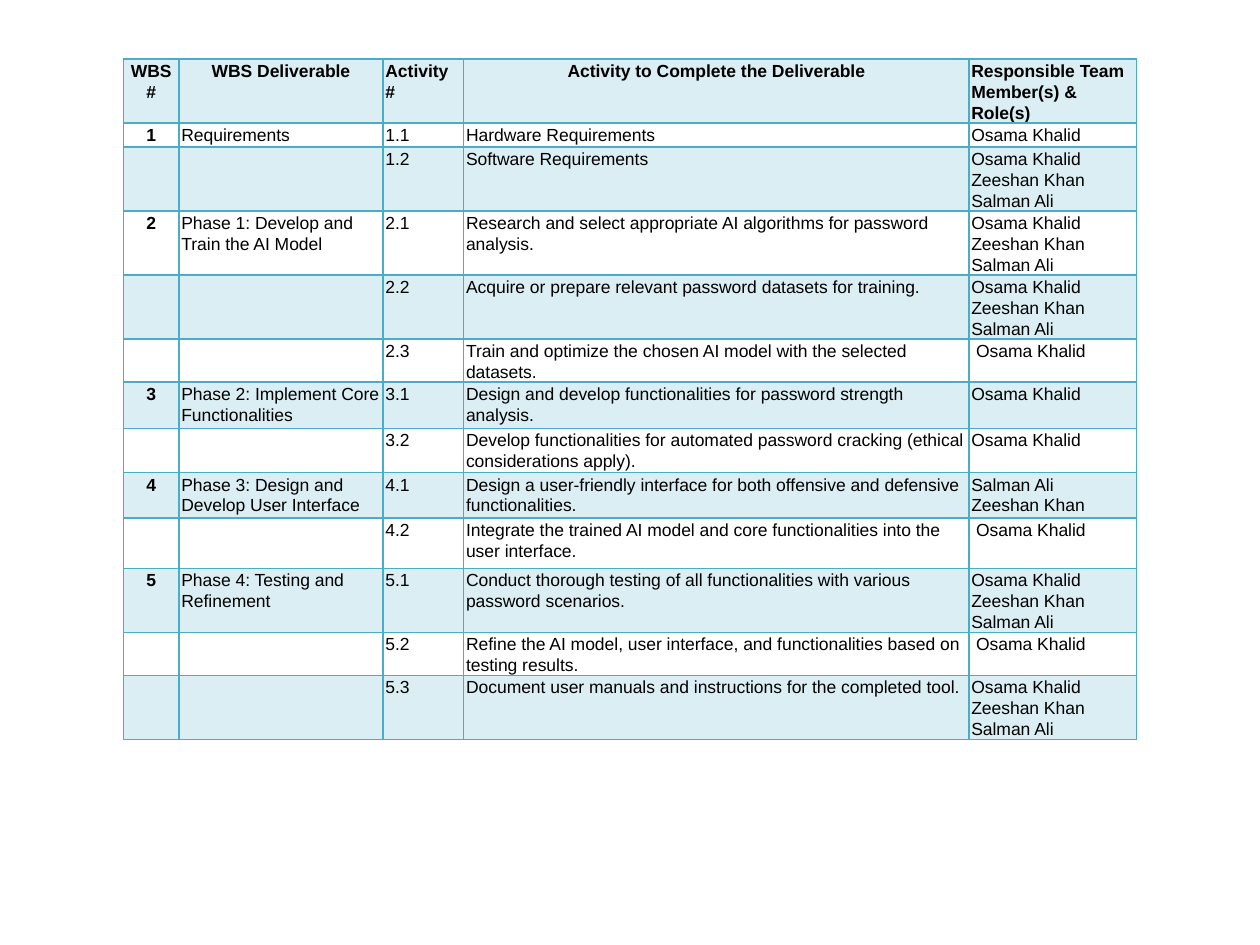
import pptx
import pptx.dml.color
import pptx.enum.text
import pptx.oxml
import pptx.oxml.ns
import pptx.util
from pptx.util import Inches

THEME = {"font": "Arial", "size": 10, "text": "000000", "accent": "4BACC6",
         "tint": 20, "border": 1, "line_spacing": 1.07}

# Content: number, deliverable, activity number, activity, team
HEADER = ("WBS #", "WBS Deliverable", "Activity #",
          "Activity to Complete the Deliverable", "Responsible Team Member(s) & Role(s)")
TEAM = "Osama Khalid\nZeeshan Khan\nSalman Ali"
ACTIVITIES = [
    ("1", "Requirements", "1.1", "Hardware Requirements", "Osama Khalid"),
    ("", "", "1.2", "Software Requirements", TEAM),
    ("2", "Phase 1: Develop and Train the AI Model", "2.1",
     "Research and select appropriate AI algorithms for password analysis.", TEAM),
    ("", "", "2.2", "Acquire or prepare relevant password datasets for training.", TEAM),
    ("", "", "2.3", "Train and optimize the chosen AI model with the selected datasets.",
     " Osama Khalid"),
    ("3", "Phase 2: Implement Core Functionalities", "3.1",
     "Design and develop functionalities for password strength analysis.", "Osama Khalid"),
    ("", "", "3.2",
     "Develop functionalities for automated password cracking (ethical considerations apply).",
     "Osama Khalid"),
    ("4", "Phase 3: Design and Develop User Interface", "4.1",
     "Design a user-friendly interface for both offensive and defensive functionalities.",
     "Salman Ali\nZeeshan Khan"),
    ("", "", "4.2",
     "Integrate the trained AI model and core functionalities into the user interface.",
     " Osama Khalid"),
    ("5", "Phase 4: Testing and Refinement", "5.1",
     "Conduct thorough testing of all functionalities with various password scenarios.", TEAM),
    ("", "", "5.2",
     "Refine the AI model, user interface, and functionalities based on testing results.",
     " Osama Khalid"),
    ("", "", "5.3", "Document user manuals and instructions for the completed tool.", TEAM),
]
ROWS = [HEADER] + ACTIVITIES
COLUMN_WIDTHS = [0.44, 1.62, 0.64, 4.01, 1.33]
ROW_HEIGHTS = [0.48, 0.19, 0.48, 0.48, 0.48, 0.29, 0.37, 0.35, 0.36, 0.4, 0.48, 0.34, 0.48]
LEFT, TOP = 0.98, 0.47
CENTERED_HEADINGS = (0, 1, 3)


def add_element(parent, tag, **attributes):
    element = pptx.oxml.parse_xml(f"<{tag} {pptx.oxml.ns.nsdecls('a')}/>")
    for name, value in attributes.items():
        element.set(name, str(value))
    parent.append(element)
    return element


def style_cell(cell, tinted):
    cell.margin_left = cell.margin_right = Inches(0.02)
    cell.margin_top, cell.margin_bottom = Inches(0.01), Inches(0)
    properties = cell._tc.get_or_add_tcPr()
    # Borders come before the fill in the cell properties
    for side in ("a:lnL", "a:lnR", "a:lnT", "a:lnB"):
        line = add_element(properties, side, w=pptx.util.Pt(THEME["border"]))
        add_element(add_element(line, "a:solidFill"), "a:srgbClr", val=THEME["accent"])
    if tinted:
        color = add_element(add_element(properties, "a:solidFill"),
                            "a:srgbClr", val=THEME["accent"])
        add_element(color, "a:alpha", val=THEME["tint"] * 1000)
    else:
        add_element(properties, "a:noFill")


def write_cell(cell, text, bold, centered):
    frame = cell.text_frame
    for index, line in enumerate(text.split("\n")):
        para = frame.add_paragraph() if index else frame.paragraphs[0]
        para.line_spacing = THEME["line_spacing"]
        if centered:
            para.alignment = pptx.enum.text.PP_ALIGN.CENTER
        if not line:
            # An empty cell keeps the table's type size, so its row stays low
            add_element(para._p, "a:endParaRPr", sz=THEME["size"] * 100)
            continue
        span = para.add_run()
        span.text = line
        span.font.name = THEME["font"]
        span.font.size = pptx.util.Pt(THEME["size"])
        span.font.bold = bold
        span.font.color.rgb = pptx.dml.color.RGBColor.from_string(THEME["text"])


def main():
    deck = pptx.Presentation()
    deck.slide_width, deck.slide_height = Inches(10), Inches(7.5)
    page = deck.slides.add_slide(deck.slide_layouts[6])

    # Work breakdown table
    table = page.shapes.add_table(
        len(ROWS), len(HEADER), Inches(LEFT), Inches(TOP),
        Inches(sum(COLUMN_WIDTHS)), Inches(sum(ROW_HEIGHTS))).table
    table.first_row = table.horz_banding = False
    for column, width in zip(table.columns, COLUMN_WIDTHS):
        column.width = Inches(width)

    for r, (texts, height) in enumerate(zip(ROWS, ROW_HEIGHTS)):
        table.rows[r].height = Inches(height)
        for c, text in enumerate(texts):
            cell = table.cell(r, c)
            style_cell(cell, tinted=r % 2 == 0)
            write_cell(cell, text, bold=r == 0 or c == 0,
                       centered=c == 0 or (r == 0 and c in CENTERED_HEADINGS))

    deck.save("out.pptx")


if __name__ == "__main__":
    main()
